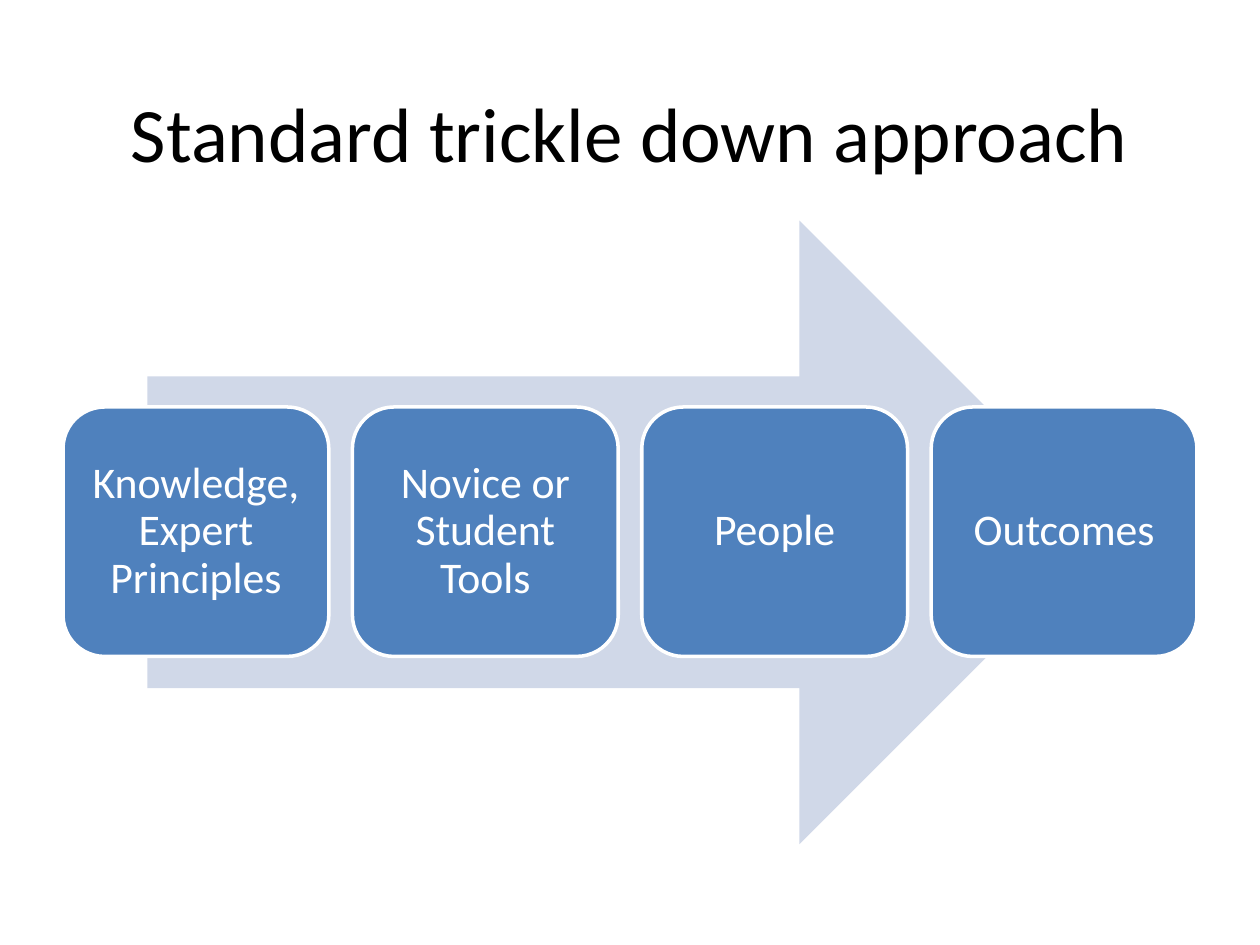
from pptx import Presentation
from pptx.dml.color import RGBColor
from pptx.enum.shapes import MSO_SHAPE
from pptx.enum.text import MSO_ANCHOR, PP_ALIGN
from pptx.util import Inches, Pt

BLACK = RGBColor(0x00, 0x00, 0x00)
WHITE = RGBColor(0xFF, 0xFF, 0xFF)
BLUE = RGBColor(0x4F, 0x81, 0xBD)
PALE_BLUE = RGBColor(0xD0, 0xD8, 0xE8)


class Deck:
    """Holds the style and the current slide."""

    font = "Calibri"

    def __init__(self, prs):
        self.s = prs.slides.add_slide(prs.slide_layouts[6])

    def set_text(self, sp, text, size, color):
        tf = sp.text_frame
        tf.word_wrap = True
        tf.vertical_anchor = MSO_ANCHOR.MIDDLE
        p = tf.paragraphs[0]
        p.text = text
        p.alignment = PP_ALIGN.CENTER
        p.font.name = self.font
        p.font.size = Pt(size)
        p.font.color.rgb = color
        return tf

    def title(self, text, x, y, w, h):
        sp = self.s.shapes.add_textbox(Inches(x), Inches(y), Inches(w), Inches(h))
        self.set_text(sp, text, 44, BLACK)

    def shape(self, kind, x, y, w, h, fill):
        sp = self.s.shapes.add_shape(kind, Inches(x), Inches(y), Inches(w), Inches(h))
        sp.shadow.inherit = False
        sp.fill.solid()
        sp.fill.fore_color.rgb = fill
        sp.line.fill.background()
        return sp

    def arrow(self, x, y, w, h):
        self.shape(MSO_SHAPE.RIGHT_ARROW, x, y, w, h, PALE_BLUE)

    def step(self, text, x, y, w, h):
        sp = self.shape(MSO_SHAPE.ROUNDED_RECTANGLE, x, y, w, h, BLUE)
        sp.line.color.rgb = WHITE
        sp.line.width = Pt(2)
        tf = self.set_text(sp, text, 25, WHITE)
        tf.margin_left = tf.margin_right = Inches(0.1)
        tf.margin_top = tf.margin_bottom = Inches(0.1)
        tf.paragraphs[0].line_spacing = 0.9


def main():
    prs = Presentation()
    prs.slide_width, prs.slide_height = Inches(10), Inches(7.5)
    deck = Deck(prs)

    # Title
    deck.title("Standard trickle down approach", 0.5, 0.42, 9, 1.25)

    # Arrow behind the steps
    deck.arrow(1.17, 1.75, 7.65, 4.95)

    # Steps, spread evenly between the side margins
    steps = ["Knowledge,\nExpert\nPrinciples", "Novice or\nStudent Tools",
             "People", "Outcomes"]
    left, width = 0.5, 2.11
    pitch = (9 - width) / (len(steps) - 1)
    for i, text in enumerate(steps):
        deck.step(text, left + i * pitch, 3.23, width, 1.98)

    prs.save("out.pptx")


if __name__ == "__main__":
    main()
